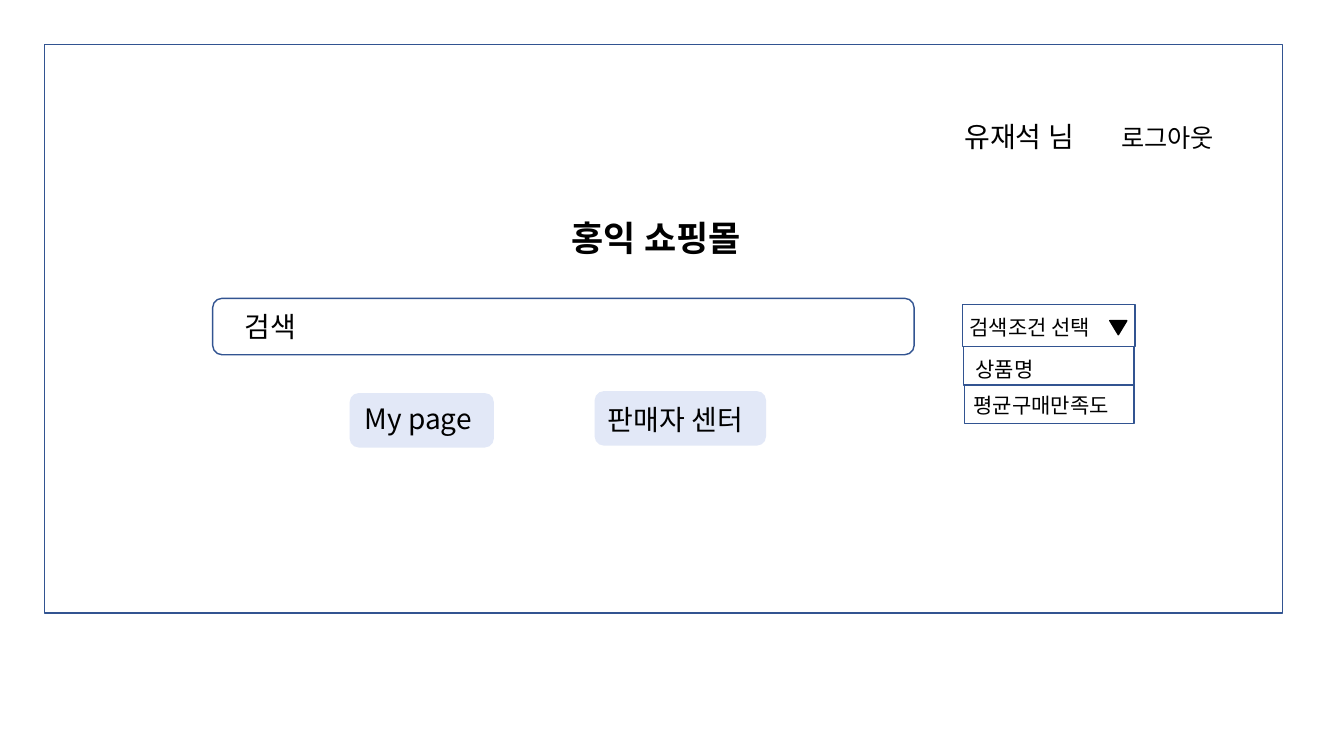
"""Build the shopping mall main page wireframe."""
from lxml.etree import SubElement
from pptx import Presentation
from pptx.dml.color import RGBColor
from pptx.enum.shapes import MSO_SHAPE
from pptx.enum.text import MSO_ANCHOR, MSO_AUTO_SIZE, PP_ALIGN
from pptx.oxml.ns import qn
from pptx.util import Pt

BLACK = RGBColor(0, 0, 0)
BLUE = RGBColor(0x32, 0x54, 0x91)
PALE = RGBColor(0xA0, 0xB4, 0xE6)
FACE = "Noto Sans CJK KR"

deck = Presentation()
deck.slide_width, deck.slide_height = Pt(960), Pt(540)
slide = deck.slides.add_slide(deck.slide_layouts[5])


def draw(kind, area, line=None, fill=None):
    shape = slide.shapes.add_shape(kind, *map(Pt, area))
    shape.shadow.inherit = False
    if fill is None:
        shape.fill.background()
    else:
        shape.fill.solid()
        shape.fill.fore_color.rgb = fill
    if line is None:
        shape.line.fill.background()
    else:
        shape.line.color.rgb = line
        shape.line.width = Pt(1)
    return shape


def write(box, text, size, stop=None):
    frame = box.text_frame
    frame.word_wrap = True
    frame.auto_size = MSO_AUTO_SIZE.NONE
    frame.vertical_anchor = MSO_ANCHOR.TOP
    para = frame.paragraphs[0]
    para.add_run().text = text
    props = para._p.get_or_add_pPr()
    if stop:
        tabs = SubElement(props, qn("a:tabLst"))
        SubElement(tabs, qn("a:tab"), pos=str(Pt(stop)), algn="l")
    para.font.size = Pt(size)
    para.font.color.rgb = BLACK
    para.font.name = FACE
    SubElement(props.find(qn("a:defRPr")), qn("a:ea"), typeface=FACE)
    return para


draw(MSO_SHAPE.RECTANGLE, (31.7, 31.7, 884.2, 406.1), BLUE)
draw(MSO_SHAPE.ROUNDED_RECTANGLE, (151.9, 213.1, 501.1, 40.3), BLUE)

title = slide.shapes.title
title.left, title.top, title.width, title.height = map(Pt, (263.5, 151.2, 410.4, 37.4))
head = write(title, "홍익 쇼핑몰", 25)
head.alignment = PP_ALIGN.CENTER
head.font.bold = True

for area in [(688.3, 247.7, 121.7, 27.4), (689, 275, 121, 27.4),
             (687.6, 217.4, 123.1, 30.2)]:
    draw(MSO_SHAPE.RECTANGLE, area, BLUE)
arrow = draw(MSO_SHAPE.ISOSCELES_TRIANGLE, (792.7, 229, 12.2, 10.1), BLACK, BLACK)
arrow.rotation = 180

for area in [(249.8, 280.8, 103, 38.9), (424.8, 279.4, 122.4, 38.9)]:
    button = draw(MSO_SHAPE.ROUNDED_RECTANGLE, area, fill=PALE)
    tint = button._element.spPr.find(qn("a:solidFill"))[0]
    SubElement(tint, qn("a:alpha"), val="30000")

user = slide.shapes.add_textbox(Pt(681.8), Pt(82.1), Pt(216), Pt(31.7))
greet = write(user, "유재석 님", 20, 112)
leave = greet.add_run()
leave.text = "\t로그아웃"
leave.font.size = Pt(18)

labels = [
    ("검색", 20, (167.8, 217.4, 216, 30.2)),
    ("검색조건 선택", 15, (685.4, 221, 146.2, 24.5)),
    ("상품명", 15, (689.8, 251.3, 108.7, 24.5)),
    ("평균구매만족도", 15, (688.3, 277.2, 143.3, 24.5)),
    ("My page", 20, (253.4, 283, 118.1, 30.2)),
    ("판매자 센터", 20, (427, 283.7, 151.9, 31.7)),
]
for text, size, area in labels:
    write(slide.shapes.add_textbox(*map(Pt, area)), text, size)

deck.save("out.pptx")
